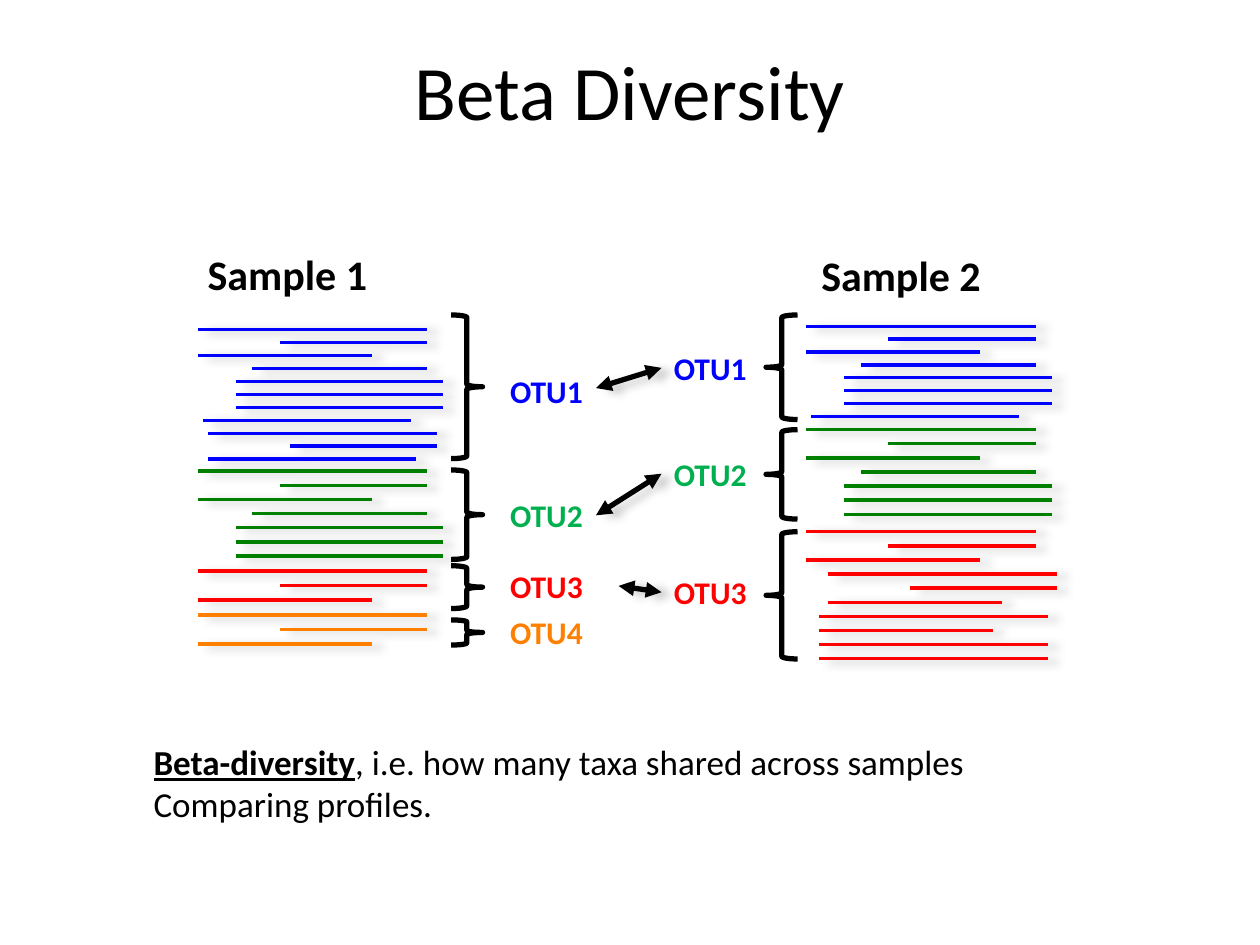
from lxml.etree import SubElement
from pptx import Presentation
from pptx.dml.color import RGBColor
from pptx.enum.shapes import MSO_CONNECTOR, MSO_SHAPE
from pptx.enum.text import MSO_ANCHOR, PP_ALIGN
from pptx.oxml.ns import qn
from pptx.util import Inches, Pt

BLACK, BLUE, GREEN, RED, ORANGE = "000000", "0000FF", "008000", "FF0000", "FF8000"
LABEL_GREEN = "00B050"

# Start and end of a read, in columns from the left edge of its sample
FULL, RIGHT, LEFT, MIDDLE = (0, 18.2), (6.5, 18.2), (0, 13.8), (4.3, 18.2)
WIDE, EARLY = (3, 19.5), (0.4, 16.9)


def shifted(read, columns):
    return read[0] + columns, read[1] + columns


TRIO = [FULL, RIGHT, LEFT]
SEVEN = TRIO + [MIDDLE] + [WIDE] * 3
BLUE_READS = SEVEN + [EARLY]
EXTRA_BLUE = [shifted(FULL, 0.8), shifted(RIGHT, 0.8), shifted(EARLY, 0.4)]
EXTRA_RED = [shifted(read, 1.7) for read in TRIO] + [
    shifted(read, 1) for read in (FULL, LEFT, FULL, FULL)]

# Per taxon: name, read colour, label colour, first read row, row step, reads,
# brace top, brace height, label top
SAMPLE_1 = [
    ("OTU1", BLUE, BLUE, 26.15, 1.03, BLUE_READS + EXTRA_BLUE, 25, 11.4, 29),
    ("OTU2", GREEN, LABEL_GREEN, 37.4, 1.12, SEVEN, 37.3, 7.1, 38.9),
    ("OTU3", RED, RED, 45.3, 1.17, TRIO, 44.9, 3.4, 44.5),
    ("OTU4", ORANGE, ORANGE, 48.8, 1.15, TRIO, 49.2, 2, 48.2),
]
SAMPLE_2 = [
    ("OTU1", BLUE, BLUE, 25.9, 1.02, BLUE_READS, 25, 8.3, 27.2),
    ("OTU2", GREEN, LABEL_GREEN, 34.1, 1.12, SEVEN, 34.1, 7.1, 35.6),
    ("OTU3", RED, RED, 42.2, 1.12, TRIO + EXTRA_RED, 42.2, 10.1, 45),
]


def colour(hex_string):
    return RGBColor.from_string(hex_string)


class DiversitySlide:
    """Holds the style and the slide; lengths are on a grid of 100 columns by 75 rows."""

    font = "Calibri"
    cell = Inches(0.1)

    def __init__(self, presentation):
        self.slide = presentation.slides.add_slide(presentation.slide_layouts[6])

    def grid(self, *lengths):
        return [round(length * self.cell) for length in lengths]

    def text(self, area, content, size, fill=BLACK, bold=False, align=PP_ALIGN.LEFT):
        box = self.slide.shapes.add_textbox(*self.grid(*area))
        frame = box.text_frame
        frame.word_wrap = True
        frame.vertical_anchor = MSO_ANCHOR.TOP
        frame.text = content
        for paragraph in frame.paragraphs:
            paragraph.alignment = align
            for run in paragraph.runs:
                self.format(run, size, fill, bold)
        return box

    def format(self, run, size, fill=BLACK, bold=False):
        run.font.name = self.font
        run.font.size = Pt(size)
        run.font.bold = bold
        run.font.color.rgb = colour(fill)

    def line(self, start, end, stroke, width):
        connector = self.slide.shapes.add_connector(
            MSO_CONNECTOR.STRAIGHT, *self.grid(*start, *end))
        connector.line.color.rgb = colour(stroke)
        connector.line.width = Pt(width)
        effects = SubElement(connector._element.spPr, qn("a:effectLst"))
        shadow = SubElement(effects, qn("a:outerShdw"), blurRad=str(Pt(5)),
                            dist=str(Pt(5.9)), dir=str(16 * 60000),
                            algn="ctr", rotWithShape="0")
        grey = SubElement(shadow, qn("a:srgbClr"), val="808080")
        SubElement(grey, qn("a:alpha"), val="38000")
        return connector

    def arrow(self, start, label, start_label=None):
        """Double arrow ending at the left side of label."""
        connector = self.line(start, start, BLACK, 3)
        if start_label is not None:
            connector.begin_connect(start_label, 3)
        connector.end_connect(label, 1)
        for end in ("a:headEnd", "a:tailEnd"):
            SubElement(connector.line._get_or_add_ln(), qn(end), type="triangle")

    def brace(self, area, mirrored):
        brace = self.slide.shapes.add_shape(MSO_SHAPE.RIGHT_BRACE, *self.grid(*area))
        brace.shadow.inherit = False
        brace.fill.background()
        brace.line.color.rgb = colour(BLACK)
        brace.line.width = Pt(3)
        if mirrored:
            brace._element.spPr.xfrm.set("flipH", "1")

    def sample(self, taxa, left, brace_left, label_left, mirrored=False):
        """Draws reads, braces and labels; returns the labels by name."""
        labels = {}
        for name, stroke, fill, row, step, reads, top, height, label_top in taxa:
            for index, (start, end) in enumerate(reads):
                y = row + index * step
                self.line((left + start, y), (left + end, y), stroke, 2)
            self.brace((brace_left, top, 2.5, height), mirrored)
            labels[name] = self.text((label_left, label_top, 9.6, 4), name, 18, fill, True)
        return labels


def main():
    presentation = Presentation()
    presentation.slide_width, presentation.slide_height = Inches(10), Inches(7.5)
    page = DiversitySlide(presentation)

    page.text((5, 3, 90, 12.5), "Beta Diversity", 44, align=PP_ALIGN.CENTER)
    page.text((15.5, 19.2, 19.4, 5), "Sample 1", 24, bold=True)
    page.text((64.2, 19.3, 19.4, 5), "Sample 2", 24, bold=True)

    first = page.sample(SAMPLE_1, 15.7, 35.8, 39.5)
    second = page.sample(SAMPLE_2, 64, 60.8, 52.5, mirrored=True)
    page.arrow((47.3, 30.8), second["OTU1"])
    page.arrow((47.3, 40.9), second["OTU2"])
    page.arrow((49.1, 46.5), second["OTU3"], first["OTU3"])

    definition = page.text((11.2, 58.3, 67.2, 7.8), "Beta-diversity\nComparing profiles.", 20)
    opening = definition.text_frame.paragraphs[0]
    opening.runs[0].font.bold = opening.runs[0].font.underline = True
    explanation = opening.add_run()
    explanation.text = ", i.e. how many taxa shared across samples"
    page.format(explanation, 20)

    presentation.save("out.pptx")


if __name__ == "__main__":
    main()
